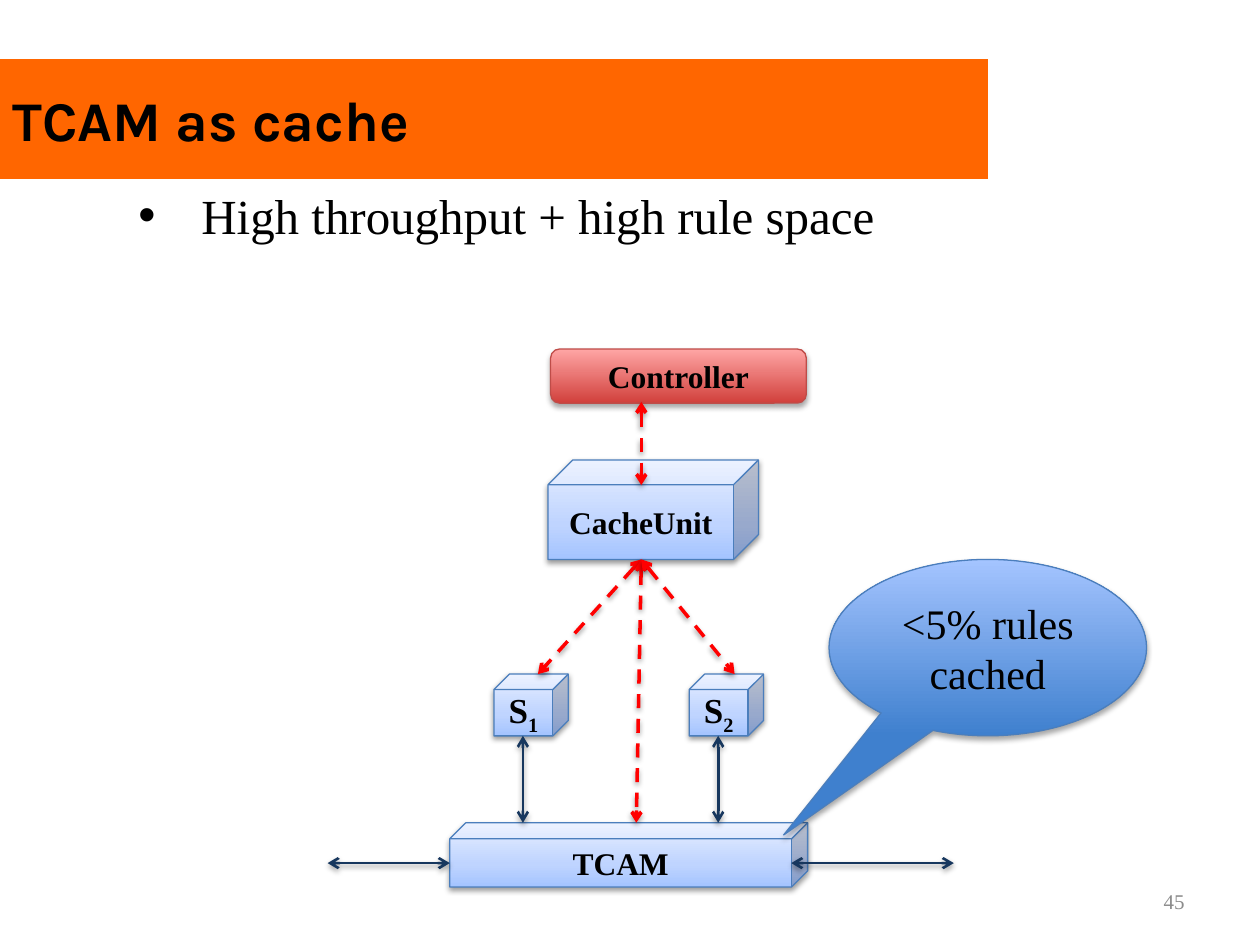
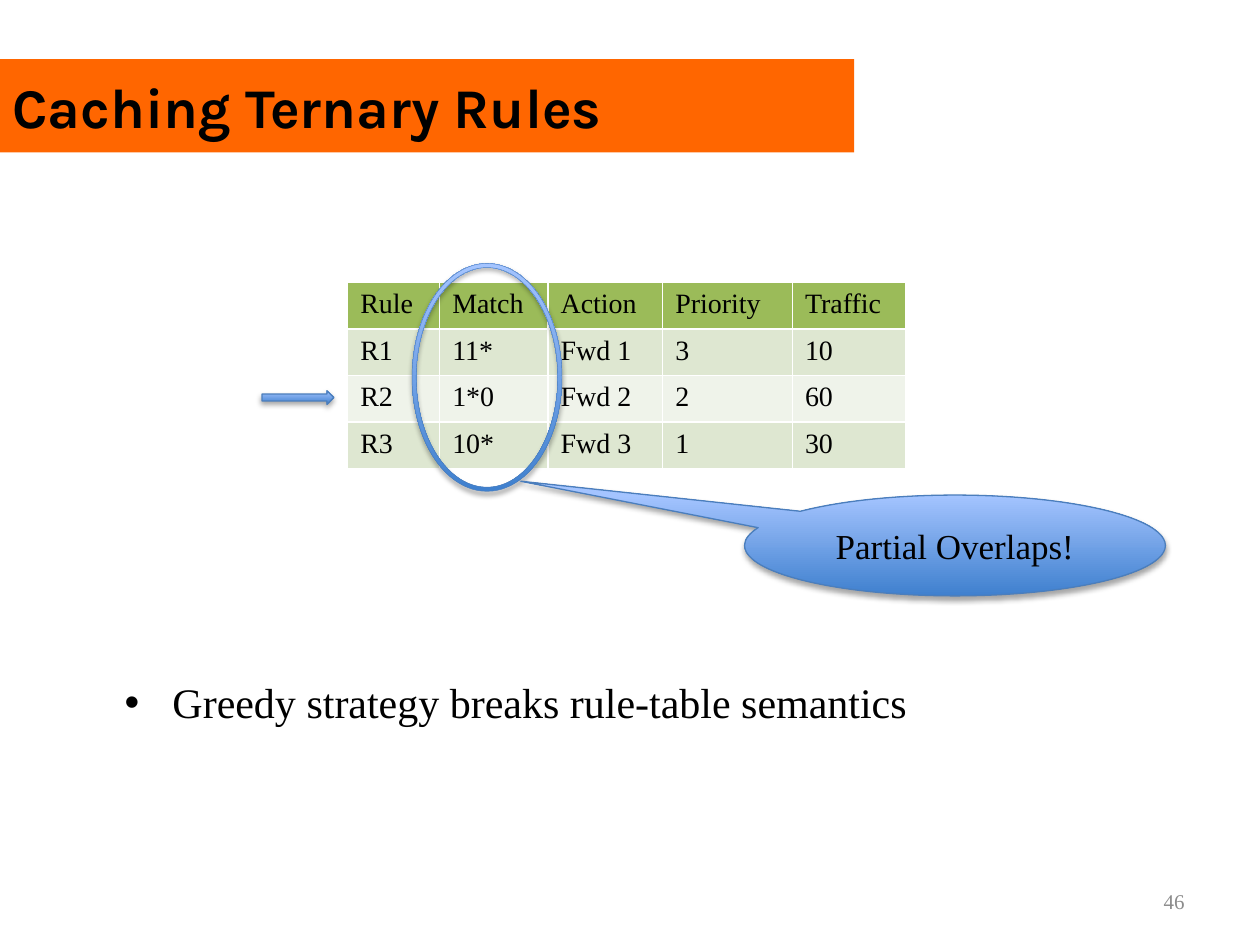
from lxml.etree import SubElement
from pptx import Presentation
from pptx.dml.color import RGBColor
from pptx.enum.dml import MSO_LINE_DASH_STYLE as Dash
from pptx.enum.shapes import MSO_CONNECTOR as Connector, MSO_SHAPE as Shape
from pptx.enum.text import MSO_ANCHOR as Anchor, PP_ALIGN as Align
from pptx.oxml.ns import qn
from pptx.util import Inches, Pt

BLACK = RGBColor(0x00, 0x00, 0x00)
WHITE = RGBColor(0xFF, 0xFF, 0xFF)
GRAY = RGBColor(0x8C, 0x8C, 0x8C)
ORANGE = RGBColor(0xFF, 0x66, 0x00)
RED = RGBColor(0xFF, 0x00, 0x00)
NAVY = RGBColor(0x17, 0x37, 0x5E)
BLUE_EDGE = RGBColor(0x4B, 0x7E, 0xBC)
RED_EDGE = RGBColor(0xBF, 0x4C, 0x48)
HEADER_GREEN = RGBColor(0x9B, 0xBB, 0x59)
ROW_GREENS = (RGBColor(0xDE, 0xE7, 0xD1), RGBColor(0xEF, 0xF3, 0xEA))

PALE_BLUE = ((0, RGBColor(0xA4, 0xC4, 0xFF)), (35, RGBColor(0xBF, 0xD4, 0xFF)),
             (100, RGBColor(0xE6, 0xEE, 0xFF)))
DEEP_BLUE = ((0, RGBColor(0x3F, 0x80, 0xCE)), (100, RGBColor(0xA4, 0xC4, 0xFF)))
SOFT_RED = ((0, RGBColor(0xD1, 0x40, 0x3C)), (100, RGBColor(0xFF, 0xA6, 0xA5)))

LIGHT_SHADOW = (35, 1.8)
DARK_SHADOW = (38, 1.6)
TITLE_FONT = "Karla"
BODY_FONT = "Times New Roman"


def write_text(frame, text, size=18, bold=False, color=BLACK, font=BODY_FONT,
               align=Align.LEFT, anchor=Anchor.MIDDLE, subscript=""):
    frame.word_wrap = True
    frame.vertical_anchor = anchor
    para = frame.paragraphs[0]
    para.alignment = align
    for part in filter(None, (text, subscript)):
        span = para.add_run()
        span.text = part
        span.font.size = Pt(size)
        span.font.bold = bold
        span.font.name = font
        span.font.color.rgb = color
    if subscript:
        span.font._element.set("baseline", "-25000")
    return para


def add_shadow(effects, shadow):
    opacity, distance = shadow
    outer = SubElement(effects, qn("a:outerShdw"), blurRad=str(Pt(3.1)),
                       dist=str(Pt(distance)), dir="5400000", rotWithShape="0")
    color = SubElement(outer, qn("a:srgbClr"), val=str(BLACK))
    SubElement(color, qn("a:alpha"), val=str(opacity * 1000))


def fill_gradient(shape, stops):
    shape.fill.gradient()
    shape.fill.gradient_angle = 90
    stop_list = shape._element.spPr.find(qn("a:gradFill")).find(qn("a:gsLst"))
    for stop in list(stop_list):
        stop_list.remove(stop)
    for position, color in stops:
        stop = SubElement(stop_list, qn("a:gs"), pos=str(position * 1000))
        SubElement(stop, qn("a:srgbClr"), val=str(color))


def add_figure(page, kind, at, stops=DEEP_BLUE, edge=BLUE_EDGE, edge_width=0.75,
               shadow=LIGHT_SHADOW, adjust=()):
    figure = page.shapes.add_shape(kind, *map(Inches, at))
    for index, value in enumerate(adjust):
        figure.adjustments[index] = value
    fill_gradient(figure, stops)
    figure.line.color.rgb = edge
    figure.line.width = Pt(edge_width)
    figure.shadow.inherit = False
    add_shadow(figure._element.spPr.find(qn("a:effectLst")), shadow)
    return figure


def add_cube(page, at, label, size=18, subscript=""):
    cube = add_figure(page, Shape.CUBE, at, PALE_BLUE, shadow=DARK_SHADOW)
    write_text(cube.text_frame, label, size=size, bold=True, align=Align.CENTER,
               subscript=subscript)


def add_callout(page, at, pointer, text, size):
    callout = add_figure(page, Shape.OVAL_CALLOUT, at, adjust=pointer)
    write_text(callout.text_frame, text, size=size, align=Align.CENTER)


def add_double_arrow(page, start, end, color=NAVY, width=1.5, dash=None,
                     shadow=LIGHT_SHADOW):
    arrow = page.shapes.add_connector(Connector.STRAIGHT, *map(Inches, start + end))
    arrow.line.color.rgb = color
    arrow.line.width = Pt(width)
    arrow.line.dash_style = dash
    outline = arrow.line._get_or_add_ln()
    for tip in ("a:headEnd", "a:tailEnd"):
        SubElement(outline, qn(tip), type="arrow")
    add_shadow(SubElement(arrow._element.spPr, qn("a:effectLst")), shadow)


def add_control_link(page, start, end):
    add_double_arrow(page, start, end, RED, 2, Dash.DASH, DARK_SHADOW)


def add_bullet(page, at, text, size, left, indent, space_before=0):
    box = page.shapes.add_textbox(*map(Inches, at))
    para = write_text(box.text_frame, text, size=size, anchor=Anchor.TOP)
    para.space_before = Pt(space_before)
    props = para._p.get_or_add_pPr()
    props.set("marL", str(Inches(left)))
    props.set("indent", str(Inches(-indent)))
    SubElement(props, qn("a:buFont"), typeface="Arial")
    SubElement(props, qn("a:buChar"), char="•")


def add_rule_table(page, left, top, widths, row_height, rows):
    frame = page.shapes.add_table(len(rows), len(widths), Inches(left), Inches(top),
                                  Inches(sum(widths)), Inches(row_height * len(rows)))
    table = frame.table
    for column, width in zip(table.columns, widths):
        column.width = Inches(width)
    for index, values in enumerate(rows):
        table.rows[index].height = Inches(row_height)
        for column, value in enumerate(values):
            cell = table.cell(index, column)
            props = cell._tc.get_or_add_tcPr()
            for side in ("a:lnL", "a:lnR", "a:lnT", "a:lnB"):
                border = SubElement(props, qn(side), w=str(Pt(1)))
                fill = SubElement(border, qn("a:solidFill"))
                SubElement(fill, qn("a:srgbClr"), val=str(WHITE))
            cell.fill.solid()
            cell.fill.fore_color.rgb = ROW_GREENS[(index - 1) % 2] if index else HEADER_GREEN
            write_text(cell.text_frame, value, size=16, anchor=Anchor.TOP)


def add_page(deck, title, band_width, band_height, number):
    page = deck.slides.add_slide(deck.slide_layouts[6])
    band = page.shapes.add_shape(Shape.RECTANGLE, 0, Inches(0.47),
                                 Inches(band_width), Inches(band_height))
    band.shadow.inherit = False
    band.fill.solid()
    band.fill.fore_color.rgb = ORANGE
    band.line.fill.background()
    write_text(band.text_frame, title, size=32, bold=True, font=TITLE_FONT)
    footer = page.shapes.add_textbox(*map(Inches, (7.17, 6.95, 2.33, 0.4)))
    write_text(footer.text_frame, str(number), size=12, color=GRAY, align=Align.RIGHT)
    return page


def build_cache_page(deck):
    page = add_page(deck, "TCAM as cache", 7.84, 0.95, 45)
    add_bullet(page, (0.5, 1.42, 9, 5.28), "High throughput + high rule space",
               size=28, left=1, indent=0.5, space_before=5.6)

    controller = add_figure(page, Shape.ROUNDED_RECTANGLE, (4.37, 2.77, 2.03, 0.43),
                            SOFT_RED, RED_EDGE)
    write_text(controller.text_frame, "Controller", bold=True, align=Align.CENTER)
    add_cube(page, (4.35, 3.65, 1.67, 0.79), "CacheUnit")
    add_cube(page, (3.57, 6.53, 2.84, 0.51), "TCAM")
    for number, left in enumerate((3.92, 5.47), start=1):
        add_cube(page, (left, 5.35, 0.59, 0.49), "S", size=20, subscript=str(number))

    hub = (5.09, 4.44)
    add_control_link(page, (5.09, 3.19), (5.09, 3.85))
    for target in ((4.27, 5.35), (5.05, 6.53), (5.83, 5.35)):
        add_control_link(page, hub, target)
    for x in (4.15, 5.7):
        add_double_arrow(page, (x, 5.84), (x, 6.53))
    for inner, outer in ((3.57, 2.6), (6.28, 7.57)):
        add_double_arrow(page, (inner, 6.85), (outer, 6.85))
    add_callout(page, (6.58, 4.44, 2.52, 1.4), (-0.643, 1.062), "<5% rules cached", 24)


def build_rules_page(deck):
    page = add_page(deck, "Caching Ternary Rules", 6.78, 0.74, 46)
    rules = (("Rule", "Match", "Action", "Priority", "Traffic"),
             ("R1", "11*", "Fwd 1", "3", "10"),
             ("R2", "1*0", "Fwd 2", "2", "60"),
             ("R3", "10*", "Fwd 3", "1", "30"))
    add_rule_table(page, 2.76, 2.24, (0.73, 0.86, 0.91, 1.03, 0.9), 0.37, rules)
    add_bullet(page, (0.89, 5.32, 6.62, 0.5), "Greedy strategy breaks rule-table semantics",
               size=24, left=0.38, indent=0.38)
    add_figure(page, Shape.DONUT, (3.27, 2.09, 1.19, 1.81), edge_width=0.25, adjust=(0.028,))
    add_callout(page, (5.91, 3.93, 3.34, 0.8), (-1.032, -0.638), "Partial Overlaps!", 20)
    add_figure(page, Shape.RIGHT_ARROW, (2.08, 3.1, 0.57, 0.11))


def main():
    deck = Presentation()
    deck.slide_width, deck.slide_height = Inches(10), Inches(7.5)
    build_cache_page(deck)
    build_rules_page(deck)
    deck.save("out.pptx")


if __name__ == "__main__":
    main()
